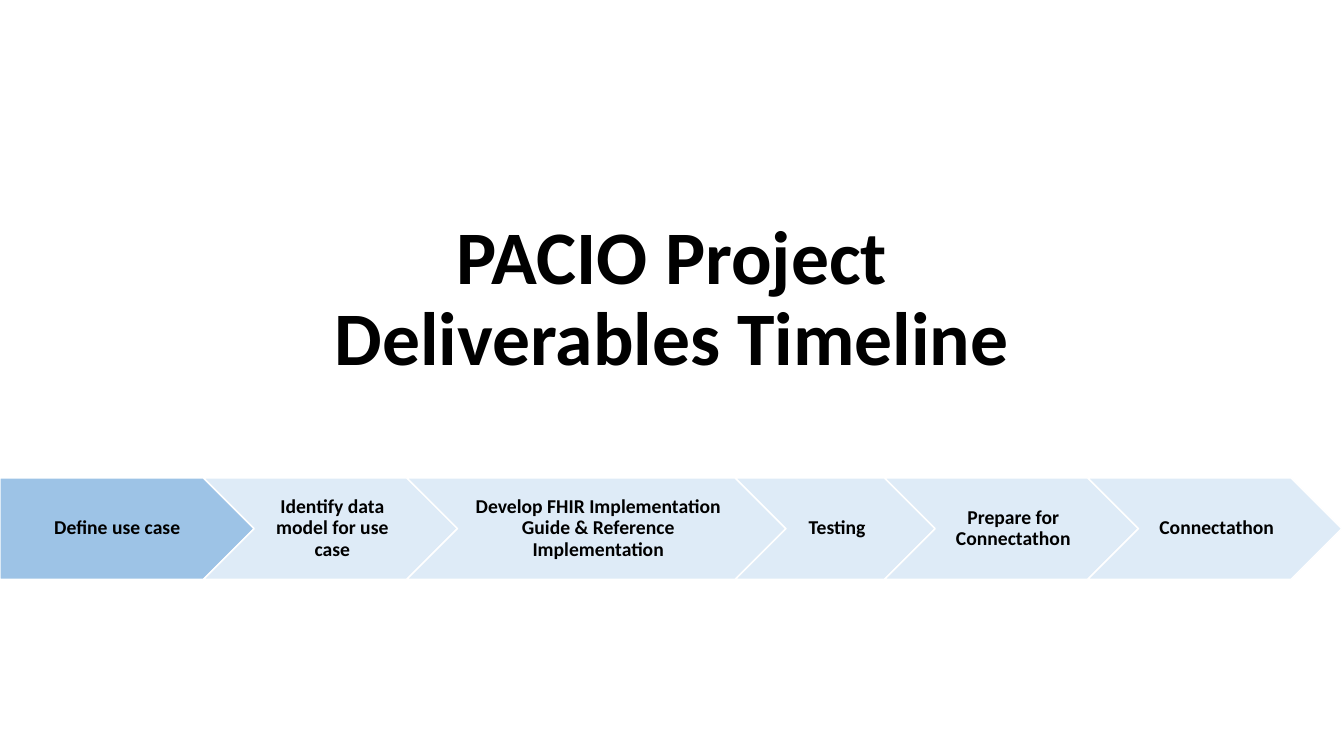
from dataclasses import dataclass

from pptx import Presentation
from pptx.dml.color import RGBColor
from pptx.enum.shapes import MSO_SHAPE as Shape
from pptx.enum.text import MSO_ANCHOR as Anchor, PP_ALIGN as Align
from pptx.slide import Slide
from pptx.text.text import TextFrame
from pptx.util import Pt

COLORS = {"text": "000000", "edge": "FFFFFF", "current": "9DC3E6", "upcoming": "DEEBF7"}
FONT = "Calibri"
BAND_TOP = 341.3
BAND_HEIGHT = 72.6
OVERLAP = 36.1


@dataclass(frozen=True)
class Step:
    label: str
    width: float = 181.4
    outline: Shape = Shape.CHEVRON
    fill: str = "upcoming"
    left_inset: float = 4.32


STEPS = [
    Step("Define use case", outline=Shape.PENTAGON, fill="current", left_inset=5.76),
    Step("Identify data model for use case"),
    Step("Develop FHIR Implementation Guide & Reference Implementation", width=270.7),
    Step("Testing", width=142.6),
    Step("Prepare for Connectathon"),
    Step("Connectathon"),
]


def color(name: str) -> RGBColor:
    return RGBColor.from_string(COLORS[name])


def write_text(frame: TextFrame, text: str, size: float, anchor: Anchor) -> None:
    frame.word_wrap = True
    frame.vertical_anchor = anchor
    para = frame.paragraphs[0]
    para.text = text
    para.alignment = Align.CENTER
    para.line_spacing = 0.9
    for span in para.runs:
        span.font.name = FONT
        span.font.size = Pt(size)
        span.font.bold = True
        span.font.color.rgb = color("text")


def add_title(page: Slide) -> None:
    box = page.shapes.add_textbox(Pt(120), Pt(88.4), Pt(720), Pt(188))
    write_text(box.text_frame, "PACIO Project\vDeliverables Timeline", 54, Anchor.BOTTOM)


def add_step(page: Slide, step: Step, left: float) -> None:
    arrow = page.shapes.add_shape(
        step.outline, Pt(left), Pt(BAND_TOP), Pt(step.width), Pt(BAND_HEIGHT)
    )
    arrow.shadow.inherit = False
    arrow.fill.solid()
    arrow.fill.fore_color.rgb = color(step.fill)
    arrow.line.color.rgb = color("edge")
    arrow.line.width = Pt(1)
    frame = arrow.text_frame
    frame.margin_left = Pt(step.left_inset)
    frame.margin_right = Pt(1.44)
    frame.margin_top = frame.margin_bottom = Pt(2.88)
    write_text(frame, step.label, 14, Anchor.MIDDLE)


def main() -> None:
    deck = Presentation()
    deck.slide_width = Pt(960)
    deck.slide_height = Pt(540)
    page = deck.slides.add_slide(deck.slide_layouts[6])
    add_title(page)
    left = 0.0
    for step in STEPS:
        add_step(page, step, left)
        left += step.width - OVERLAP
    deck.save("out.pptx")


if __name__ == "__main__":
    main()
